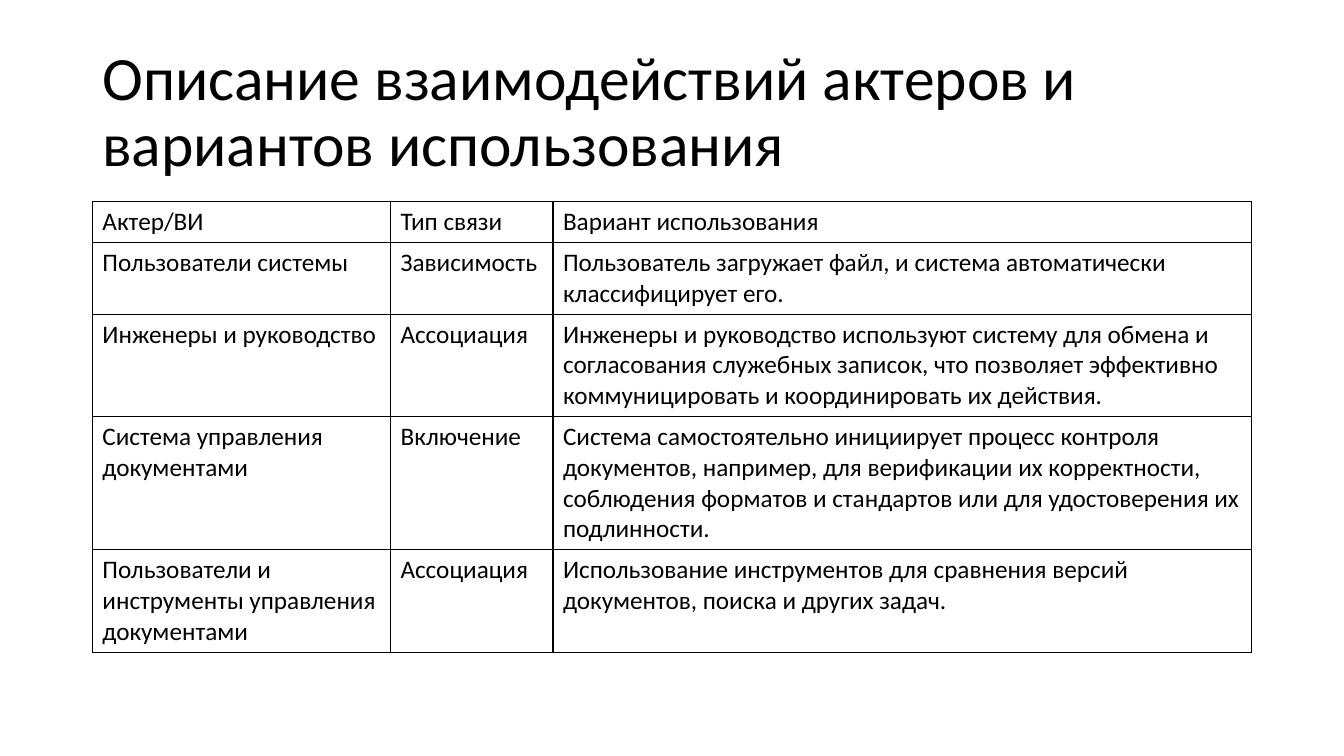
"""Build a slide with a table of interactions between actors and use cases."""
from lxml import etree
from pptx import Presentation
from pptx.dml.color import RGBColor
from pptx.enum.text import MSO_ANCHOR
from pptx.oxml.ns import qn
from pptx.util import Pt

MIDDLE = MSO_ANCHOR.MIDDLE
COLORS = {"text": "000000", "border": "000000"}
LEFT, WIDTH = 66, 828
COLUMN_WIDTHS = [213, 116, 499]
LINE_HEIGHT, CELL_PADDING = 22, 7.2
ROWS = [
    (1, "Актер/ВИ", "Тип связи", "Вариант использования"),
    (2, "Пользователи системы", "Зависимость",
     "Пользователь загружает файл, и система автоматически классифицирует его."),
    (3, "Инженеры и руководство", "Ассоциация",
     "Инженеры и руководство используют систему для обмена и согласования "
     "служебных записок, что позволяет эффективно коммуницировать и "
     "координировать их действия."),
    (4, "Система управления документами", "Включение",
     "Система самостоятельно инициирует процесс контроля документов, например, "
     "для верификации их корректности, соблюдения форматов и стандартов или "
     "для удостоверения их подлинности."),
    (3, "Пользователи и инструменты управления документами", "Ассоциация",
     "Использование инструментов для сравнения версий документов, поиска и "
     "других задач."),
]


def write_text(text_frame, text, size):
    paragraph = text_frame.paragraphs[0]
    run = paragraph.add_run()
    run.text = text
    font_format = {"name": "Calibri", "size": Pt(size), "bold": False}
    for name, value in font_format.items():
        setattr(run.font, name, value)
    run.font.color.rgb = RGBColor.from_string(COLORS["text"])
    return paragraph


def add_borders(cell):
    properties = cell._tc.get_or_add_tcPr()
    for position, side in enumerate(("a:lnL", "a:lnR", "a:lnT", "a:lnB")):
        line = etree.Element(qn(side), w=str(Pt(1)))
        fill = etree.SubElement(line, qn("a:solidFill"))
        etree.SubElement(fill, qn("a:srgbClr"), val=COLORS["border"])
        properties.insert(position, line)


presentation = Presentation()
presentation.slide_width = Pt(960)
presentation.slide_height = Pt(540)
slide = presentation.slides.add_slide(presentation.slide_layouts[6])

title = slide.shapes.add_textbox(Pt(LEFT), Pt(28.75), Pt(WIDTH), Pt(104.4))
title_format = {"word_wrap": True, "vertical_anchor": MIDDLE}
for name, value in title_format.items():
    setattr(title.text_frame, name, value)
heading = write_text(
    title.text_frame, "Описание взаимодействий актеров и вариантов использования", 44)
heading.line_spacing = 0.9

row_heights = [CELL_PADDING + LINE_HEIGHT * lines for lines, *_ in ROWS]
table = slide.shapes.add_table(
    len(ROWS), len(COLUMN_WIDTHS),
    Pt(LEFT), Pt(144), Pt(WIDTH), Pt(sum(row_heights))).table
table_format = {"first_row": False, "horz_banding": False}
for name, value in table_format.items():
    setattr(table, name, value)
for column, width in zip(table.columns, COLUMN_WIDTHS):
    column.width = Pt(width)
for row, height, (_, *texts) in zip(table.rows, row_heights, ROWS):
    row.height = Pt(height)
    for cell, text in zip(row.cells, texts):
        write_text(cell.text_frame, text, 18)
        cell.fill.background()
        add_borders(cell)

presentation.save("out.pptx")
